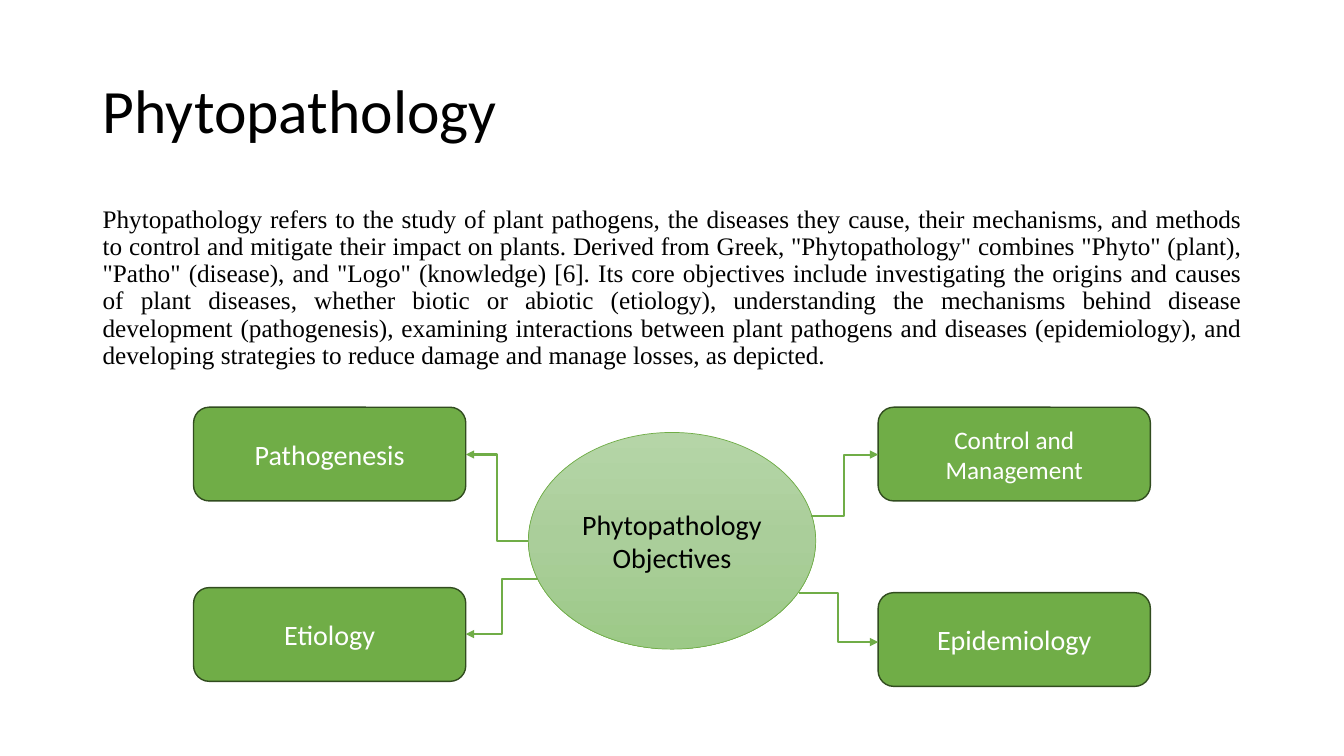
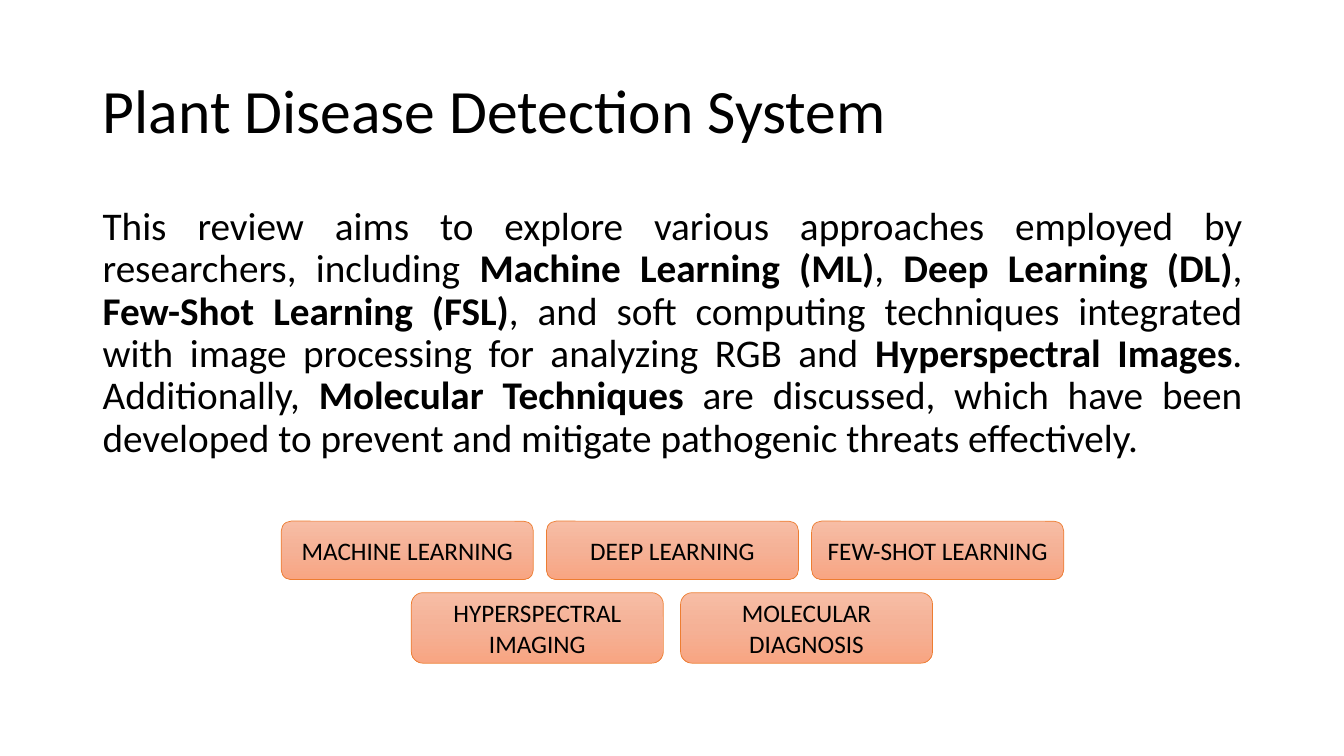
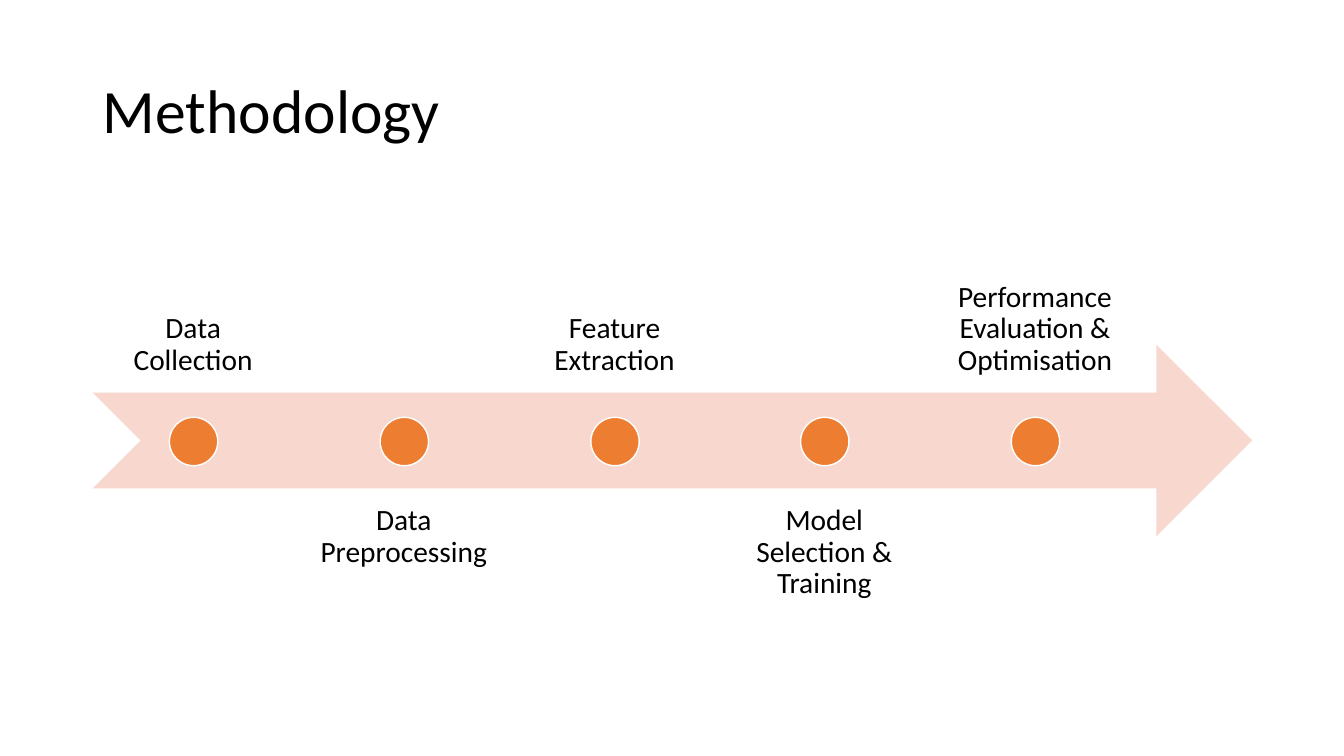
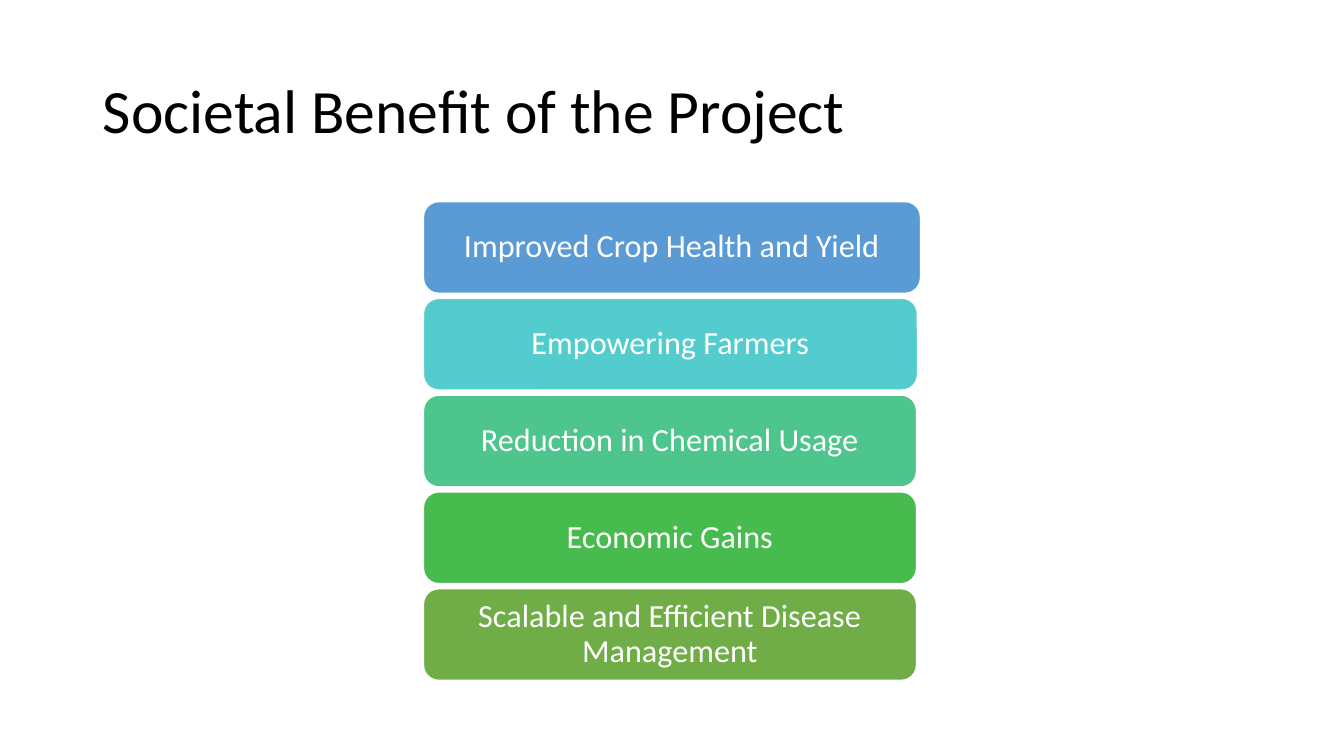
from copy import deepcopy
from dataclasses import dataclass

from pptx import Presentation
from pptx.dml.color import RGBColor
from pptx.enum.dml import MSO_THEME_COLOR
from pptx.enum.shapes import MSO_CONNECTOR, MSO_SHAPE
from pptx.enum.text import MSO_ANCHOR, MSO_AUTO_SIZE, PP_ALIGN
from pptx.oxml.ns import qn
from pptx.oxml.xmlchemy import OxmlElement
from pptx.shapes.autoshape import Shape
from pptx.slide import Slide
from pptx.text.text import TextFrame
from pptx.util import Emu, Pt

# Scale: 100 px to the inch
PX = 9144
SLIDE_W, SLIDE_H = 1333, 750
TITLE_ONLY = 5

SANS, SERIF = "Calibri", "Times New Roman"
LEFT, CENTER, JUSTIFY = PP_ALIGN.LEFT, PP_ALIGN.CENTER, PP_ALIGN.JUSTIFY
TOP, MIDDLE, BOTTOM = MSO_ANCHOR.TOP, MSO_ANCHOR.MIDDLE, MSO_ANCHOR.BOTTOM
ROUNDED, ELLIPSE = MSO_SHAPE.ROUNDED_RECTANGLE, MSO_SHAPE.OVAL
NOTCHED_ARROW = MSO_SHAPE.NOTCHED_RIGHT_ARROW
ELBOW = MSO_CONNECTOR.ELBOW

BLACK = RGBColor(0x00, 0x00, 0x00)
WHITE = RGBColor(0xFF, 0xFF, 0xFF)
GREEN = RGBColor(0x70, 0xAD, 0x47)
DARK_GREEN = RGBColor(0x31, 0x4C, 0x1F)
ORANGE = RGBColor(0xED, 0x7D, 0x31)
PALE_ORANGE = RGBColor(0xF8, 0xD7, 0xCE)
BLUE = RGBColor(0x5B, 0x9B, 0xD5)
TURQUOISE = RGBColor(0x54, 0xCC, 0xCD)
SEA_GREEN = RGBColor(0x4D, 0xC5, 0x8D)
LEAF_GREEN = RGBColor(0x48, 0xBB, 0x4F)
GREEN_FADE = (RGBColor(0xB5, 0xD5, 0xA7), RGBColor(0xAA, 0xCE, 0x9A),
              RGBColor(0x9C, 0xC9, 0x87))
ORANGE_FADE = (RGBColor(0xF7, 0xBD, 0xA5), RGBColor(0xF5, 0xB1, 0x96),
               RGBColor(0xF8, 0xA5, 0x82))


@dataclass(frozen=True)
class Box:
    left: int
    top: int
    width: int
    height: int

    def emu(self) -> tuple[Emu, ...]:
        return tuple(Emu(v * PX) for v in
                     (self.left, self.top, self.width, self.height))


@dataclass(frozen=True)
class Objective:
    label: str
    left: int
    top: int
    size: int
    arrow_from: tuple[int, int]
    arrow_to: tuple[int, int]


@dataclass(frozen=True)
class TechniqueRow:
    labels: tuple[str, ...]
    left: int
    top: int
    height: int
    pitch: int


@dataclass(frozen=True)
class Benefit:
    label: str
    color: RGBColor
    width: int


TITLE_BOX = Box(92, 40, 1150, 145)
BODY_BOX = Box(92, 200, 1150, 476)


# Shared drawing functions
def write(frame: TextFrame, text: str, *, size: int, color: RGBColor = BLACK,
          font: str = SANS, align: PP_ALIGN = CENTER,
          anchor: MSO_ANCHOR = MIDDLE, spacing: float = 1.0,
          inset: tuple[int, int] = (10, 5)) -> None:
    """Fill a frame with one paragraph; text between ** marks is bold."""
    frame.word_wrap = True
    frame.auto_size = MSO_AUTO_SIZE.NONE
    frame.vertical_anchor = anchor
    frame.margin_left = frame.margin_right = Emu(inset[0] * PX)
    frame.margin_top = frame.margin_bottom = Emu(inset[1] * PX)
    paragraph = frame.paragraphs[0]
    paragraph.alignment = align
    paragraph.line_spacing = spacing
    for index, part in enumerate(text.split("**")):
        run = paragraph.add_run()
        run.text = part
        run.font.name = font
        run.font.size = Pt(size)
        run.font.bold = index % 2 == 1
        run.font.color.rgb = color


def fade(shape: Shape, colors: tuple[RGBColor, ...]) -> None:
    """Give a shape a top-to-bottom gradient with three stops."""
    shape.fill.gradient()
    shape.fill.gradient_angle = 270
    first = shape.element.spPr.find(".//" + qn("a:gs"))
    first.addnext(deepcopy(first))
    for stop, position, color in zip(shape.fill.gradient_stops,
                                     (0, 0.5, 1), colors):
        stop.position = position
        stop.color.theme_color = MSO_THEME_COLOR.ACCENT_1
        stop.color.rgb = color


def draw(slide: Slide, kind: MSO_SHAPE, box: Box,
         fill: RGBColor | tuple[RGBColor, ...],
         line: RGBColor | None = None, line_width: float = 1) -> Shape:
    shape = slide.shapes.add_shape(kind, *box.emu())
    shape.shadow.inherit = False
    if isinstance(fill, RGBColor):
        shape.fill.solid()
        shape.fill.fore_color.rgb = fill
    else:
        fade(shape, fill)
    if line is None:
        shape.line.fill.background()
    else:
        shape.line.color.rgb = line
        shape.line.width = Pt(line_width)
    return shape


def add_arrow(slide: Slide, start: tuple[int, int],
              end: tuple[int, int]) -> None:
    arrow = slide.shapes.add_connector(
        ELBOW, *(Emu(v * PX) for v in (*start, *end)))
    arrow.line.color.rgb = GREEN
    arrow.line.width = Pt(1.5)
    head = OxmlElement("a:tailEnd")
    head.set("type", "triangle")
    arrow.line._get_or_add_ln().append(head)
    arrow._element.spPr.append(OxmlElement("a:effectLst"))


def add_text(slide: Slide, box: Box, text: str, **text_format) -> None:
    write(slide.shapes.add_textbox(*box.emu()).text_frame, text, **text_format)


def add_slide(deck: Presentation, heading: str) -> Slide:
    slide = deck.slides.add_slide(deck.slide_layouts[TITLE_ONLY])
    title = slide.shapes.title
    title.left, title.top, title.width, title.height = TITLE_BOX.emu()
    write(title.text_frame, heading, size=44, align=LEFT, spacing=0.9)
    return slide


# Slide 1: definition and four objectives
DEFINITION = (
    "Phytopathology refers to the study of plant pathogens, the diseases they "
    "cause, their mechanisms, and methods to control and mitigate their impact "
    'on plants. Derived from Greek, "Phytopathology" combines "Phyto" (plant), '
    '"Patho" (disease), and "Logo" (knowledge) [6]. Its core objectives include '
    "investigating the origins and causes of plant diseases, whether biotic or "
    "abiotic (etiology), understanding the mechanisms behind disease "
    "development (pathogenesis), examining interactions between plant pathogens "
    "and diseases (epidemiology), and developing strategies to reduce damage "
    "and manage losses, as depicted."
)
OBJECTIVES = (
    Objective("Pathogenesis", 192, 404, 20, (524, 537), (462, 451)),
    Objective("Control and Management", 871, 404, 18, (804, 512), (871, 451)),
    Objective("Etiology", 192, 583, 20, (534, 574), (462, 629)),
    Objective("Epidemiology", 871, 588, 20, (792, 588), (871, 637)),
)


def build_phytopathology(deck: Presentation) -> None:
    slide = add_slide(deck, "Phytopathology")
    add_text(slide, BODY_BOX, DEFINITION, size=18, font=SERIF, align=JUSTIFY,
             anchor=TOP, spacing=0.9)
    hub = draw(slide, ELLIPSE, Box(524, 429, 285, 215), GREEN_FADE, GREEN, 0.5)
    write(hub.text_frame, "Phytopathology Objectives", size=20)
    for item in OBJECTIVES:
        card = draw(slide, ROUNDED, Box(item.left, item.top, 270, 93),
                    GREEN, DARK_GREEN)
        write(card.text_frame, item.label, size=item.size, color=WHITE)
        add_arrow(slide, item.arrow_from, item.arrow_to)


# Slide 2: review scope and technique buttons
SCOPE = (
    "This review aims to explore various approaches employed by researchers, "
    "including **Machine Learning (ML)**, **Deep Learning (DL)**, **Few-Shot "
    "Learning (FSL)**, and soft computing techniques integrated with image "
    "processing for analyzing RGB and **Hyperspectral Images**. Additionally, "
    "**Molecular Techniques** are discussed, which have been developed to "
    "prevent and mitigate pathogenic threats effectively."
)
TECHNIQUES = (
    TechniqueRow(("MACHINE LEARNING", "DEEP LEARNING", "FEW-SHOT LEARNING"),
                 279, 517, 58, 263),
    TechniqueRow(("HYPERSPECTRAL IMAGING", "MOLECULAR DIAGNOSIS"),
                 408, 588, 70, 267),
)


def build_detection(deck: Presentation) -> None:
    slide = add_slide(deck, "Plant Disease Detection System")
    add_text(slide, BODY_BOX, SCOPE, size=28, align=JUSTIFY, anchor=TOP,
             spacing=0.9)
    for row in TECHNIQUES:
        for column, label in enumerate(row.labels):
            box = Box(row.left + column * row.pitch, row.top, 250, row.height)
            button = draw(slide, ROUNDED, box, ORANGE_FADE, ORANGE, 0.5)
            write(button.text_frame, label, size=18)


# Slide 3: timeline, labels alternately above and below
STEPS = ("Data Collection", "Data Preprocessing", "Feature Extraction",
         "Model Selection & Training", "Performance Evaluation & Optimisation")
STEP_PITCH = 208.75


def build_methodology(deck: Presentation) -> None:
    slide = add_slide(deck, "Methodology")
    draw(slide, NOTCHED_ARROW, Box(92, 342, 1150, 190), PALE_ORANGE)
    for index, step in enumerate(STEPS):
        offset = round(index * STEP_PITCH)
        label_top, anchor = (485, TOP) if index % 2 else (200, BOTTOM)
        add_text(slide, Box(92 + offset, label_top, 199, 190), step, size=21,
                 anchor=anchor, spacing=0.9, inset=(16, 16))
        draw(slide, ELLIPSE, Box(168 + offset, 414, 48, 48), ORANGE, WHITE)


# Slide 4: stacked benefits
BENEFITS = (
    Benefit("Improved Crop Health and Yield", BLUE, 493),
    Benefit("Empowering Farmers", TURQUOISE, 490),
    Benefit("Reduction in Chemical Usage", SEA_GREEN, 489),
    Benefit("Economic Gains", LEAF_GREEN, 489),
    Benefit("Scalable and Efficient Disease Management", GREEN, 489),
)


def build_benefits(deck: Presentation) -> None:
    slide = add_slide(deck, "Societal Benefit of the Project")
    for index, benefit in enumerate(BENEFITS):
        bar = draw(slide, ROUNDED, Box(420, 200 + index * 96, benefit.width, 91),
                   benefit.color, WHITE)
        write(bar.text_frame, benefit.label, size=23, color=WHITE, spacing=0.9)


def main() -> None:
    deck = Presentation()
    deck.slide_width, deck.slide_height = Emu(SLIDE_W * PX), Emu(SLIDE_H * PX)
    build_phytopathology(deck)
    build_detection(deck)
    build_methodology(deck)
    build_benefits(deck)
    deck.save("out.pptx")


if __name__ == "__main__":
    main()
